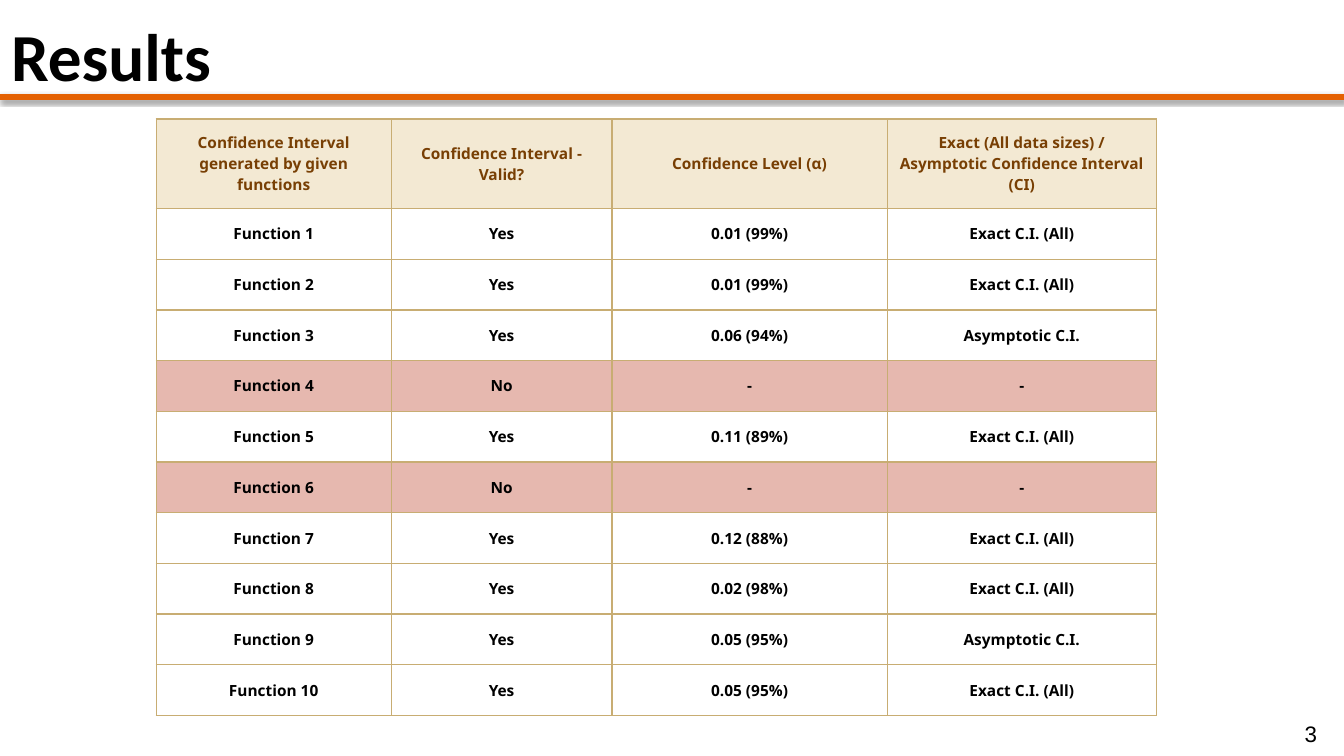
from lxml import etree
from pptx import Presentation
from pptx.dml.color import RGBColor
from pptx.enum import shapes, text
from pptx.oxml import ns, parse_xml
from pptx.util import Inches, Pt

BLACK = RGBColor(0x00, 0x00, 0x00)
ORANGE = RGBColor(0xE4, 0x61, 0x02)
BROWN = RGBColor(0x78, 0x3F, 0x04)
CREAM = RGBColor(0xF3, 0xE9, 0xD3)
PINK = RGBColor(0xE6, 0xB8, 0xAF)
GOLD = RGBColor(0xC8, 0xAD, 0x73)

HEADS = (
    "Confidence Interval generated by given functions",
    "Confidence Interval - Valid?",
    "Confidence Level (α)",
    "Exact (All data sizes) / Asymptotic Confidence Interval (CI)",
)
EXACT, ASYMP = "Exact C.I. (All)", "Asymptotic C.I."
# Level and type of each function's interval; None marks an invalid one
RESULTS = (
    ("0.01 (99%)", EXACT),
    ("0.01 (99%)", EXACT),
    ("0.06 (94%)", ASYMP),
    None,
    ("0.11 (89%)", EXACT),
    None,
    ("0.12 (88%)", EXACT),
    ("0.02 (98%)", EXACT),
    ("0.05 (95%)", ASYMP),
    ("0.05 (95%)", EXACT),
)
WIDTHS = (2.33, 2.19, 2.73, 2.67)
HEAD_H, BODY_H = 0.89, 5.03


def add_run(para, words, size, face, color, bold=False):
    """Add one formatted run to a paragraph."""
    run = para.add_run()
    run.text = words
    font = run.font
    font.size, font.name, font.bold = Pt(size), face, bold
    font.color.rgb = color


def set_title(slide, words):
    """Place and format the title."""
    title = slide.shapes.title
    title.left, title.top = Inches(0.01), Inches(0.09)
    title.width, title.height = Inches(12.33), Inches(0.82)
    frame = title.text_frame
    frame.auto_size = text.MSO_AUTO_SIZE.NONE
    frame.vertical_anchor = text.MSO_ANCHOR.TOP
    para = frame.paragraphs[0]
    para.alignment = text.PP_ALIGN.LEFT
    add_run(para, words, 48, "Calibri", BLACK, True)


def add_rule(slide, width):
    """Draw the shadowed rule below the title."""
    y = Inches(0.96)
    rule = slide.shapes.add_connector(
        shapes.MSO_CONNECTOR.STRAIGHT, 0, y, width, y)
    rule.line.color.rgb = ORANGE
    rule.line.width = Pt(4.5)
    rule._element.spPr.append(parse_xml(
        f'<a:effectLst {ns.nsdecls("a")}>'
        f'<a:outerShdw blurRad="{Pt(3.1)}" dist="{Pt(1.6)}" dir="5400000" '
        f'rotWithShape="0"><a:srgbClr val="{BLACK}"><a:alpha val="38000"/>'
        '</a:srgbClr></a:outerShdw></a:effectLst>'))


def add_number(slide, words):
    """Add the slide number in the corner."""
    box = slide.shapes.add_textbox(
        Inches(12.84), Inches(7.1), Inches(0.5), Inches(0.37))
    box.text_frame.word_wrap = True
    add_run(box.text_frame.paragraphs[0], words, 16, "Arial", BLACK)


def set_edges(cell):
    """Give a cell its four gold borders."""
    props = cell._tc.get_or_add_tcPr()
    for side in ("lnL", "lnR", "lnT", "lnB"):
        edge = etree.SubElement(props, ns.qn(f"a:{side}"), w=str(Pt(1)))
        fill = etree.SubElement(edge, ns.qn("a:solidFill"))
        etree.SubElement(fill, ns.qn("a:srgbClr"), val=str(GOLD))


def set_cell(cell, words, color, fill=None, before=0):
    """Fill in one centred table cell."""
    set_edges(cell)
    if fill is None:
        cell.fill.background()
    else:
        cell.fill.solid()
        cell.fill.fore_color.rgb = fill
    cell.margin_left = cell.margin_right = Inches(0.07)
    cell.margin_top = cell.margin_bottom = Inches(0.07)
    cell.vertical_anchor = text.MSO_ANCHOR.MIDDLE
    para = cell.text_frame.paragraphs[0]
    para.alignment = text.PP_ALIGN.CENTER
    if before:
        para.space_before = Pt(before)
    add_run(para, words, 11, "Noto Sans", color, True)


def add_results(slide):
    """Add the table of results, invalid rows in pink."""
    count = len(RESULTS)
    table = slide.shapes.add_table(
        count + 1, len(HEADS), Inches(1.55), Inches(1.18),
        Inches(sum(WIDTHS)), Inches(HEAD_H + BODY_H)).table
    table.first_row = table.horz_banding = False
    for col, width in zip(table.columns, WIDTHS):
        col.width = Inches(width)
    for row in table.rows:
        row.height = Inches(BODY_H / count)
    table.rows[0].height = Inches(HEAD_H)
    for c, head in enumerate(HEADS):
        set_cell(table.cell(0, c), head, BROWN, CREAM)
    for r, result in enumerate(RESULTS, 1):
        valid, fill = ("Yes", None) if result else ("No", PINK)
        row = (f"Function {r}", valid, *(result or ("-", "-")))
        for c, words in enumerate(row):
            set_cell(table.cell(r, c), words, BLACK, fill,
                     10 if c > 1 else 0)


def main():
    """Build and save the slide."""
    deck = Presentation()
    deck.slide_width, deck.slide_height = Inches(13.33), Inches(7.5)
    slide = deck.slides.add_slide(deck.slide_layouts[5])
    add_number(slide, "3")
    add_rule(slide, deck.slide_width)
    set_title(slide, "Results")
    add_results(slide)
    deck.save("out.pptx")


main()
